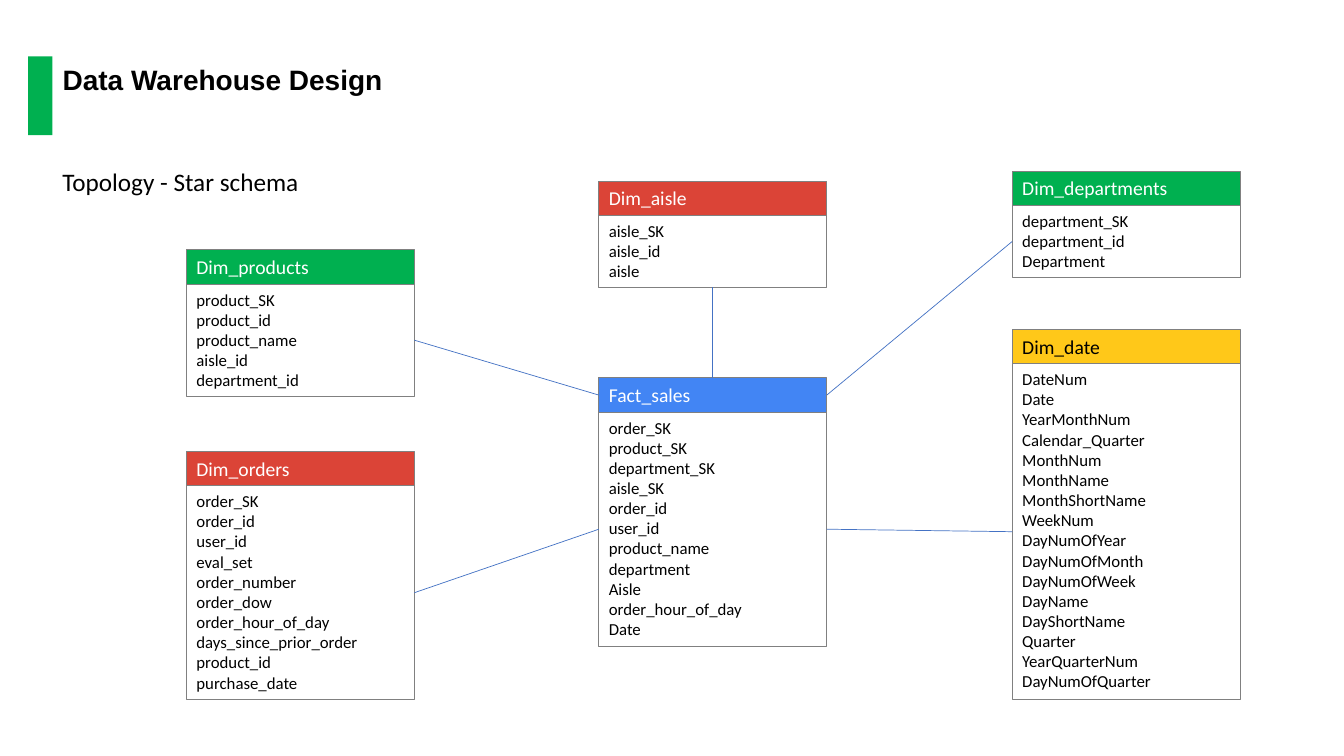
from lxml import etree
from pptx import Presentation
from pptx.dml.color import RGBColor
from pptx.enum.shapes import MSO_CONNECTOR, MSO_SHAPE
from pptx.enum.text import MSO_ANCHOR, MSO_AUTO_SIZE, PP_ALIGN
from pptx.oxml.ns import qn
from pptx.util import Pt

RECT = MSO_SHAPE.RECTANGLE
STRAIGHT = MSO_CONNECTOR.STRAIGHT
TOP = MSO_ANCHOR.TOP
LEFT = PP_ALIGN.LEFT
GROW = MSO_AUTO_SIZE.SHAPE_TO_FIT_TEXT

BLACK = RGBColor(0x00, 0x00, 0x00)
WHITE = RGBColor(0xFF, 0xFF, 0xFF)
GREEN = RGBColor(0x00, 0xB0, 0x50)
RED = RGBColor(0xDB, 0x44, 0x37)
BLUE = RGBColor(0x42, 0x85, 0xF4)
YELLOW = RGBColor(0xFF, 0xC8, 0x19)
GRAY = RGBColor(0x80, 0x80, 0x80)
LINK = RGBColor(0x44, 0x72, 0xC4)

PX = 9144
WIDE = 226
HEAD = 34
PAD = 10
ROW = 20.17

TABLES = {
    "Fact_sales": (594, 375, BLUE, WHITE, (
        "order_SK", "product_SK", "department_SK", "aisle_SK", "order_id",
        "user_id", "product_name", "department", "Aisle",
        "order_hour_of_day", "Date")),
    "Dim_aisle": (594, 180, RED, WHITE, ("aisle_SK", "aisle_id", "aisle")),
    "Dim_departments": (1004, 170, GREEN, WHITE, (
        "department_SK", "department_id", "Department")),
    "Dim_products": (185, 248, GREEN, WHITE, (
        "product_SK", "product_id", "product_name", "aisle_id",
        "department_id")),
    "Dim_orders": (185, 448, RED, WHITE, (
        "order_SK", "order_id", "user_id", "eval_set", "order_number",
        "order_dow", "order_hour_of_day", "days_since_prior_order",
        "product_id", "purchase_date")),
    "Dim_date": (1004, 327, YELLOW, BLACK, (
        "DateNum", "Date", "YearMonthNum", "Calendar_Quarter", "MonthNum",
        "MonthName", "MonthShortName", "WeekNum", "DayNumOfYear",
        "DayNumOfMonth", "DayNumOfWeek", "DayName", "DayShortName",
        "Quarter", "YearQuarterNum", "DayNumOfQuarter")),
}

HEADER, BODY = 0, 1
UP, WEST, DOWN, EAST = range(4)
LINKS = (
    ("Dim_aisle", BODY, DOWN, HEADER, UP),
    ("Dim_departments", BODY, WEST, HEADER, EAST),
    ("Dim_date", BODY, WEST, BODY, EAST),
    ("Dim_products", BODY, EAST, HEADER, WEST),
    ("Dim_orders", BODY, EAST, BODY, WEST),
)


def emu(*box):
    return [n * PX for n in box]


def write(shape, lines, size, color, face="Calibri", bold=False):
    frame = shape.text_frame
    frame.text = "\n".join(lines)
    frame.word_wrap = True
    frame.auto_size = GROW
    frame.vertical_anchor = TOP
    for para in frame.paragraphs:
        para.alignment = LEFT
        font = para.font
        font.name, font.size, font.bold = face, Pt(size), bold
        font.color.rgb = color


def add_rect(shapes, box, fill=None, line=None):
    rect = shapes.add_shape(RECT, *emu(*box))
    rect.shadow.inherit = False
    if fill is None:
        rect.fill.background()
    else:
        rect.fill.solid()
        rect.fill.fore_color.rgb = fill
    if line is None:
        rect.line.fill.background()
    else:
        rect.line.color.rgb = line
        rect.line.width = Pt(0.75)
    return rect


def add_heading(slide, x, y):
    title = slide.shapes.title
    title.left, title.top, title.width, title.height = emu(x + 24, y + 1, 876, 44)
    write(title, ["Data Warehouse Design"], 20, BLACK, "Arial", True)
    add_rect(slide.shapes, (x, y, 24, 78), GREEN)
    label = slide.shapes.add_textbox(*emu(x + 24, y + 104, 615, 40))
    write(label, ["Topology - Star schema"], 18, BLACK)


def add_entity(slide, name, x, y, fill, ink, fields):
    shapes = slide.shapes.add_group_shape().shapes
    tall = round(PAD + ROW * len(fields))
    body = add_rect(shapes, (x, y + HEAD, WIDE, tall), line=GRAY)
    write(body, fields, 12, BLACK)
    head = add_rect(shapes, (x, y, WIDE, HEAD), fill, GRAY)
    write(head, [name], 14, ink)
    return head, body


def add_link(slide, start, side, end, face):
    link = slide.shapes.add_connector(STRAIGHT, 0, 0, 0, 0)
    link.begin_connect(start, side)
    link.end_connect(end, face)
    link.line.color.rgb = LINK
    link.line.width = Pt(0.5)
    etree.SubElement(link._element.spPr, qn("a:effectLst"))


def main():
    deck = Presentation()
    deck.slide_width, deck.slide_height = emu(1333, 750)
    slide = deck.slides.add_slide(deck.slide_layouts[5])
    add_heading(slide, 28, 56)
    parts = {name: add_entity(slide, name, *table)
             for name, table in TABLES.items()}
    fact = parts["Fact_sales"]
    for name, part, side, target, face in LINKS:
        add_link(slide, fact[target], face, parts[name][part], side)
    deck.save("out.pptx")


if __name__ == "__main__":
    main()
